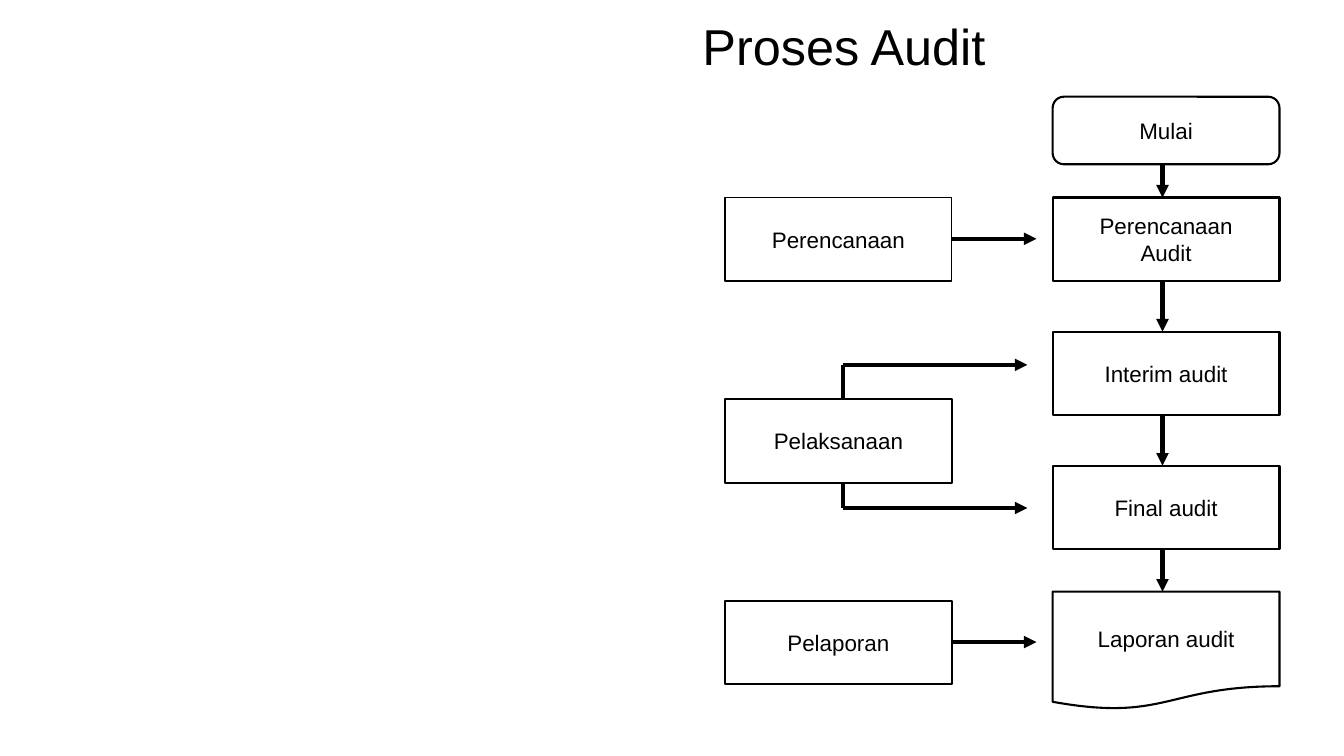
from lxml import etree
from pptx import Presentation
from pptx.dml.color import RGBColor
from pptx.enum.shapes import MSO_CONNECTOR, MSO_SHAPE
from pptx.enum.text import MSO_ANCHOR, PP_ALIGN
from pptx.oxml.ns import qn
from pptx.util import Inches, Pt

RECT = MSO_SHAPE.RECTANGLE
START = MSO_SHAPE.FLOWCHART_ALTERNATE_PROCESS
DOCUMENT = MSO_SHAPE.FLOWCHART_DOCUMENT
STRAIGHT = MSO_CONNECTOR.STRAIGHT
CENTER = PP_ALIGN.CENTER
TOP, MIDDLE = MSO_ANCHOR.TOP, MSO_ANCHOR.MIDDLE

# Content
TITLE = "Proses Audit "
FONT = "Arial"
COLORS = {"ink": "000000"}
BOX_W, BOX_H = 2.25, 0.83
PHASE_X, STEP_X = 7.19, 10.44
# text, top, line width
PHASES = [
    ("Perencanaan", 1.96, 1),
    ("Pelaksanaan", 3.96, 1.5),
    ("Pelaporan", 5.96, 1.5),
]
# lines of text, shape, top, height
STEPS = [
    (["Mulai"], START, 0.96, 0.67),
    (["Perencanaan", "Audit"], RECT, 1.96, BOX_H),
    (["Interim audit"], RECT, 3.29, BOX_H),
    (["Final audit"], RECT, 4.62, BOX_H),
    (["Laporan audit"], DOCUMENT, 5.87, 1.17),
]
FLOW_X = 11.53                    # vertical arrows between steps
BRANCH_X, BRANCH_END = 8.36, 10.19
BRANCH_TOP, BRANCH_BOTTOM = 3.62, 5.04
ARROW_LEN, ARROW_DROP = 0.84, 0.41

prs = Presentation()
prs.slide_width, prs.slide_height = Inches(13.33), Inches(7.5)
s = prs.slides.add_slide(prs.slide_layouts[6])
ink = RGBColor.from_string(COLORS["ink"])


def write(sp, lines, size, anchor, wrap):
    tf = sp.text_frame
    tf.word_wrap, tf.vertical_anchor = wrap, anchor
    tf.text = "\n".join(lines)
    for p in tf.paragraphs:
        p.alignment = CENTER
        p.font.name, p.font.size = FONT, Pt(size)
        p.font.color.rgb = ink


def box(lines, kind, x, y, h, weight):
    sp = s.shapes.add_shape(kind, Inches(x), Inches(y), Inches(BOX_W), Inches(h))
    sp.shadow.inherit = False
    sp.fill.background()
    sp.line.color.rgb, sp.line.width = ink, Pt(weight)
    write(sp, lines, 16, MIDDLE, False)


def line(x1, y1, x2, y2, arrow=True):
    c = s.shapes.add_connector(STRAIGHT, Inches(x1), Inches(y1), Inches(x2), Inches(y2))
    c.line.color.rgb, c.line.width = ink, Pt(3)
    if arrow:
        etree.SubElement(c.line._get_or_add_ln(), qn("a:tailEnd"), type="triangle")
    etree.SubElement(c._element.spPr, qn("a:effectLst"))


# Title
title = s.shapes.add_textbox(Inches(3.94), Inches(0.17), Inches(9), Inches(0.2))
write(title, [TITLE], 36, TOP, True)
title.text_frame.paragraphs[0].line_spacing = 0.9

# Phases on the left, steps on the right
for text, y, weight in PHASES:
    box([text], RECT, PHASE_X, y, BOX_H, weight)
for lines, kind, y, h in STEPS:
    box(lines, kind, STEP_X, y, h, 1.5)

# Arrows from each step to the next
for (_, _, y, h), (_, _, next_y, _) in zip(STEPS, STEPS[1:]):
    line(FLOW_X, y + h, FLOW_X, next_y)

# Arrows from the first and last phase to their step
phase_right = PHASE_X + BOX_W
for _, y, _ in (PHASES[0], PHASES[-1]):
    line(phase_right, y + ARROW_DROP, phase_right + ARROW_LEN, y + ARROW_DROP)

# Branches from the middle phase to two steps
middle_top = PHASES[1][1]
for edge, y in ((middle_top, BRANCH_TOP), (middle_top + BOX_H, BRANCH_BOTTOM)):
    line(BRANCH_X, edge, BRANCH_X, y, arrow=False)
    line(BRANCH_X, y, BRANCH_END, y)

prs.save("out.pptx")
